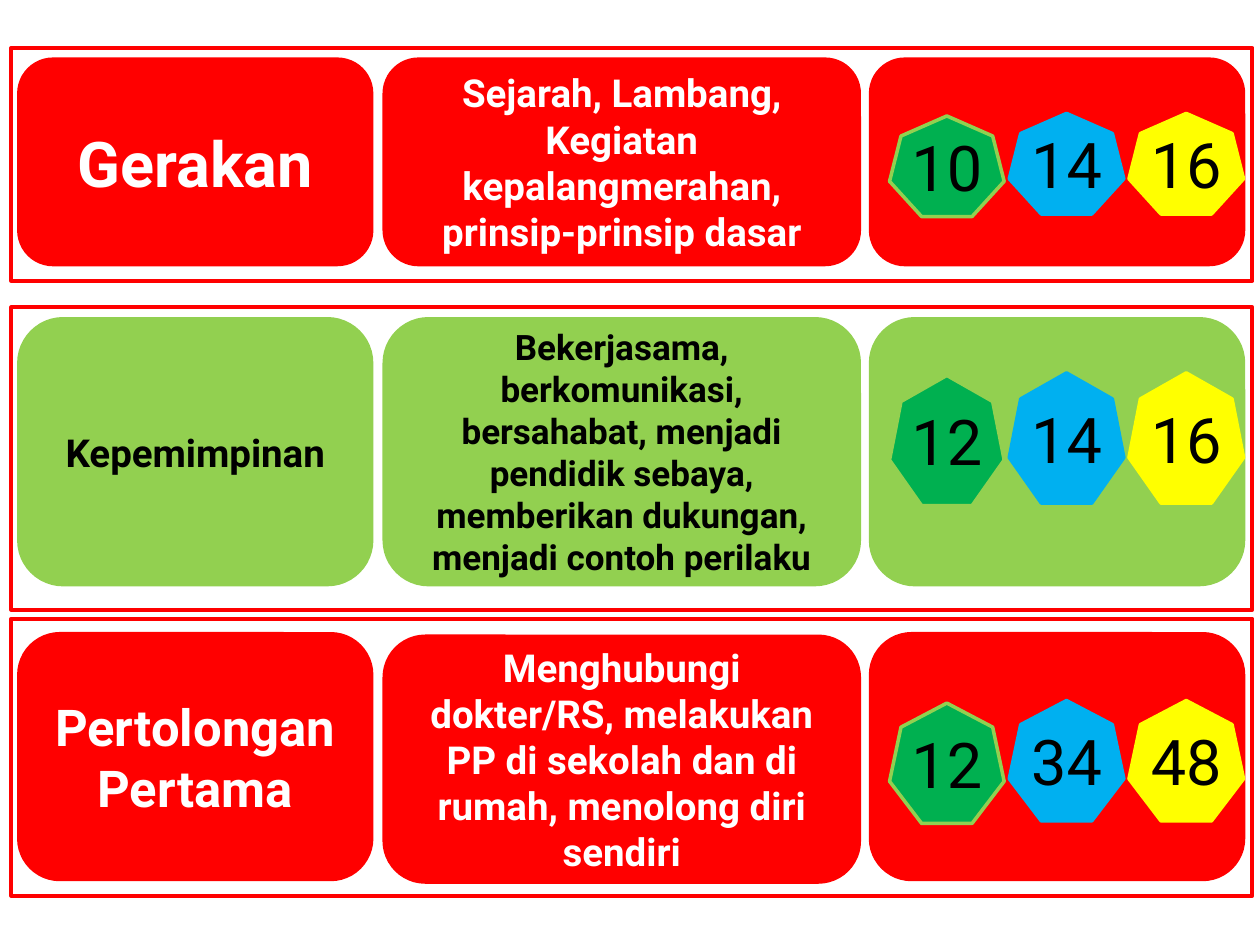
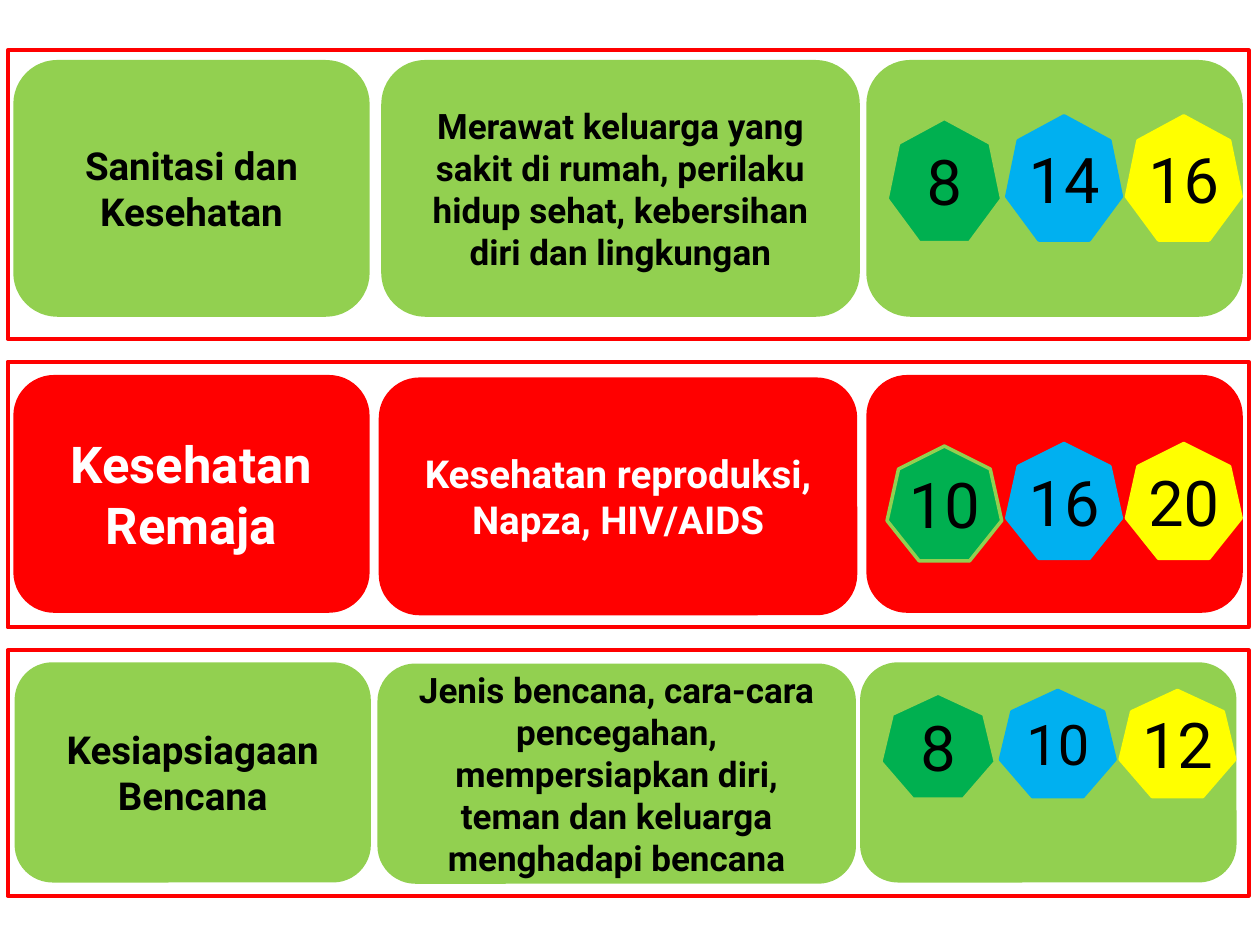
from pptx import Presentation
from pptx.dml.color import RGBColor
from pptx.enum.shapes import MSO_SHAPE
from pptx.enum.text import MSO_ANCHOR, PP_ALIGN
from pptx.util import Inches, Pt

HUES = {"red": "FF0000", "lime": "92D050", "green": "00B050",
        "blue": "00B0F0", "yellow": "FFFF00", "white": "FFFFFF", "black": "000000"}
FONT = "Roboto"
TONES = {"red": ("white", 22), "lime": ("black", 20)}  # text colour, body size
BADGES = [("green", "lime"), ("blue", "blue"), ("yellow", "yellow")]  # fill, line

# frame: top, height; cards: lefts, top, height; drop: body card below the others
# rise: from card top to badges
SLIDES = [
    (0.09, [
        dict(tone="red", head="Gerakan", size=36,
             body="Sejarah, Lambang, Kegiatan kepalangmerahan, prinsip-prinsip dasar",
             hours=[("10", 36), ("14", 36), ("16", 36)], frame=(0.38, 1.85),
             lefts=(0.15, 3.05, 6.91), top=0.47, high=1.63, drop=0, rise=0.43),
        dict(tone="lime", head="Kepemimpinan", size=22,
             body="Bekerjasama, berkomunikasi, bersahabat, menjadi pendidik sebaya, "
                  "memberikan dukungan, menjadi contoh perilaku",
             hours=[("12", 36), ("14", 36), ("16", 36)], frame=(2.44, 2.4),
             lefts=(0.15, 3.05, 6.91), top=2.53, high=2.11, drop=0, rise=0.43),
        dict(tone="red", head="Pertolongan Pertama", size=29,
             body="Menghubungi dokter/RS, melakukan PP di sekolah dan di rumah, "
                  "menolong diri sendiri",
             hours=[("12", 36), ("34", 36), ("48", 36)], frame=(4.91, 2.2),
             lefts=(0.15, 3.05, 6.91), top=5.03, high=1.95, drop=0.02, rise=0.53),
    ]),
    (0.06, [
        dict(tone="lime", head="Sanitasi dan Kesehatan", size=22,
             body="Merawat keluarga yang sakit di rumah, perilaku hidup sehat, "
                  "kebersihan diri dan lingkungan",
             hours=[("8", 36), ("14", 36), ("16", 36)], frame=(0.4, 2.29),
             lefts=(0.12, 3.04, 6.89), top=0.49, high=2.01, drop=0, rise=0.43),
        dict(tone="red", head="Kesehatan Remaja", size=29,
             body="Kesehatan reproduksi, Napza, HIV/AIDS",
             hours=[("10", 36), ("16", 36), ("20", 36)], frame=(2.87, 2.11),
             lefts=(0.12, 3.02, 6.89), top=2.99, high=1.86, drop=0.02, rise=0.53),
        dict(tone="lime", head="Kesiapsiagaan Bencana", size=22,
             body="Jenis bencana, cara-cara pencegahan, mempersiapkan diri, "
                  "teman dan keluarga menghadapi bencana",
             hours=[("8", 36), ("10", 32), ("12", 36)], frame=(5.16, 1.95),
             lefts=(0.13, 3.01, 6.84), top=5.27, high=1.72, drop=0.01, rise=0.21),
    ]),
]

WIDTHS = (2.8, 3.77, 2.96)
FRAME = 9.85
BADGE, PITCH, INSET = 0.91, 0.95, 0.15
RATIO = 0.49  # badge height to card height
SINK = 0.02   # first badge sits lower
HEPTA = [(0, 0.65), (0.1, 0.2), (0.5, 0), (0.9, 0.2), (1, 0.65), (0.72, 1), (0.28, 1)]


def hue(name):
    return RGBColor.from_string(HUES[name])


def paint(shape, fill, line, width=2):
    shape.shadow.inherit = False
    if fill:
        shape.fill.solid()
        shape.fill.fore_color.rgb = hue(fill)
    else:
        shape.fill.background()
    shape.line.color.rgb = hue(line)
    shape.line.width = Pt(width)


def write(shape, text, size, ink, bold):
    frame = shape.text_frame
    frame.word_wrap = True
    frame.vertical_anchor = MSO_ANCHOR.MIDDLE
    frame.text = text
    para = frame.paragraphs[0]
    para.alignment = PP_ALIGN.CENTER
    font = para.runs[0].font
    font.name, font.size, font.bold = FONT, Pt(size), bold
    font.color.rgb = hue(ink)


def box(slide, kind, *spot):
    return slide.shapes.add_shape(kind, *map(Inches, spot))


def badge(slide, left, top, high):
    """Draw a seven-sided outline."""
    dots = [(Inches(left + x * BADGE), Inches(top + y * high)) for x, y in HEPTA]
    pen = slide.shapes.build_freeform(*dots[0])
    pen.add_line_segments(dots[1:], close=True)
    return pen.convert_to_shape()


def band(slide, edge, row):
    tone, top, high = row["tone"], row["top"], row["high"]
    ink, size = TONES[tone]
    cards = [(row["head"], row["size"], 0), (row["body"], size, row["drop"]), ("", 0, 0)]
    for left, wide, (text, size, drop) in zip(row["lefts"], WIDTHS, cards):
        card = box(slide, MSO_SHAPE.ROUNDED_RECTANGLE, left, top + drop, wide, high)
        paint(card, tone, tone)
        if text:
            write(card, text, size, ink, True)

    start = row["lefts"][2] + INSET
    for i, ((fill, line), (text, size)) in enumerate(zip(BADGES, row["hours"])):
        sink = 0 if i else SINK
        mark = badge(slide, start + i * PITCH, top + row["rise"] + sink, high * RATIO)
        paint(mark, fill, line)
        write(mark, text, size, "black", False)

    head, tall = row["frame"]
    paint(box(slide, MSO_SHAPE.RECTANGLE, edge, head, FRAME, tall), None, "red", 2.25)


def main():
    deck = Presentation()
    deck.slide_width, deck.slide_height = Inches(10), Inches(7.5)
    for edge, rows in SLIDES:
        slide = deck.slides.add_slide(deck.slide_layouts[6])
        for row in rows:
            band(slide, edge, row)
    deck.save("out.pptx")


if __name__ == "__main__":
    main()
